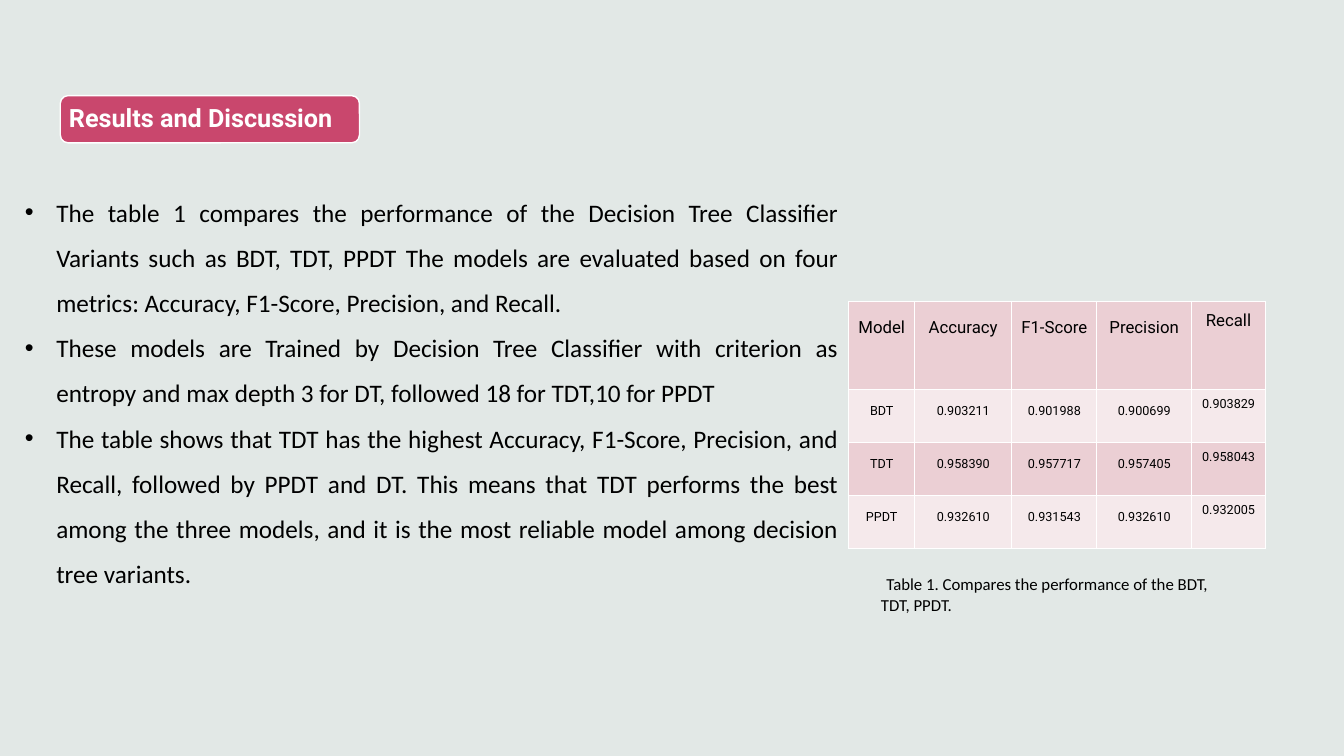
"""Build the results slide: heading, findings, and a table of model scores."""
from dataclasses import dataclass

from lxml.etree import SubElement
from pptx import Presentation
from pptx.dml.color import RGBColor as RGB
from pptx.enum.shapes import MSO_SHAPE as SHAPE
from pptx.enum.text import MSO_ANCHOR as ANCHOR, PP_ALIGN as ALIGN
from pptx.oxml.ns import qn
from pptx.util import Cm, Pt

HEADING = "Results and Discussion"
FINDINGS = [
    "The table 1 compares the performance of the Decision Tree Classifier Variants such as "
    "BDT, TDT, PPDT The models are evaluated based on four metrics: Accuracy, F1-Score, "
    "Precision, and Recall.",
    "These models are Trained by Decision Tree Classifier with criterion as entropy and "
    "max depth 3 for DT, followed 18 for TDT,10 for PPDT",
    "The table shows that TDT has the highest Accuracy, F1-Score, Precision, and Recall, "
    "followed by PPDT and DT. This means that TDT performs the best among the three models, "
    "and it is the most reliable model among decision tree variants.",
]
SCORES = [
    ("Model", "Accuracy", "F1-Score", "Precision", "Recall"),
    ("BDT", "0.903211", "0.901988", "0.900699", "0.903829"),
    ("TDT", "0.958390", "0.957717", "0.957405", "0.958043"),
    ("PPDT", "0.932610", "0.931543", "0.932610", "0.932005"),
]
CAPTION = "Table 1. Compares the performance of the BDT, TDT, PPDT."
COLUMN_WIDTHS = (1.66, 2.45, 2.14, 2.39, 1.86)
ROW_HEIGHTS = (2.22, 1.34, 1.34, 1.34)


@dataclass(frozen=True)
class Theme:
    """Colours, fonts and type sizes."""
    background: RGB = RGB.from_string("E2E8E6")
    accent: RGB = RGB.from_string("C9476D")
    bands: tuple = (RGB.from_string("EBCFD4"), RGB.from_string("F5E9EB"))
    ink: RGB = RGB.from_string("000000")
    white: RGB = RGB.from_string("FFFFFF")
    display: str = "Roboto"
    body: str = "Calibri"
    large: Pt = Pt(18)
    medium: Pt = Pt(12)
    small: Pt = Pt(9)


THEME = Theme()


def set_font(paragraph, name, size, color, bold=False):
    """Set the font of a whole paragraph."""
    font = paragraph.font
    font.name, font.size, font.bold = name, size, bold
    font.color.rgb = color


def set_insets(box, horizontal, vertical):
    """Set equal margins left and right, and top and bottom."""
    box.margin_left = box.margin_right = Cm(horizontal)
    box.margin_top = box.margin_bottom = Cm(vertical)


def set_indent(paragraph, left, first):
    """Set the left margin and first-line indent, in centimetres."""
    properties = paragraph._p.get_or_add_pPr()
    properties.set("marL", str(Cm(left)))
    properties.set("indent", str(Cm(first)))
    return properties


def set_spacing(paragraph):
    """Apply the open line spacing of findings and table cells."""
    paragraph.line_spacing = 1.49
    paragraph.space_after = Pt(0.2)


def add_heading(slide):
    """Add the rounded heading."""
    heading = slide.shapes.add_shape(
        SHAPE.ROUNDED_RECTANGLE, Cm(1.52), Cm(2.41), Cm(7.54), Cm(1.19))
    heading.shadow.inherit = False
    heading.fill.solid()
    heading.fill.fore_color.rgb = THEME.accent
    heading.line.color.rgb = THEME.white
    heading.line.width = Pt(1)
    frame = heading.text_frame
    frame.vertical_anchor = ANCHOR.MIDDLE
    set_insets(frame, 0.16, 0.18)
    paragraph = frame.paragraphs[0]
    paragraph.text = HEADING
    paragraph.alignment = ALIGN.LEFT
    paragraph.line_spacing = 0.9
    set_font(paragraph, THEME.display, THEME.large, THEME.white, bold=True)


def add_findings(slide):
    """Add the justified bullet list."""
    frame = slide.shapes.add_textbox(Cm(0.38), Cm(4.47), Cm(21), Cm(11.6)).text_frame
    frame.word_wrap = True
    for index, finding in enumerate(FINDINGS):
        paragraph = frame.add_paragraph() if index else frame.paragraphs[0]
        paragraph.text = finding
        paragraph.alignment = ALIGN.JUSTIFY
        set_spacing(paragraph)
        properties = set_indent(paragraph, 0.79, -0.79)
        SubElement(properties, qn("a:buFont"), typeface="Arial")
        SubElement(properties, qn("a:buChar"), char="•")
        set_font(paragraph, THEME.body, THEME.large, THEME.ink)


def add_borders(cell):
    """Draw a thin white line on each side of a cell."""
    properties = cell._tc.get_or_add_tcPr()
    for side in ("lnL", "lnR", "lnT", "lnB"):
        line = SubElement(properties, qn(f"a:{side}"), w=str(Pt(1)))
        fill = SubElement(line, qn("a:solidFill"))
        SubElement(fill, qn("a:srgbClr"), val=str(THEME.white))


def add_scores(slide):
    """Add the banded table of scores."""
    table = slide.shapes.add_table(
        len(SCORES), len(COLUMN_WIDTHS), Cm(21.39), Cm(7.59),
        Cm(sum(COLUMN_WIDTHS)), Cm(sum(ROW_HEIGHTS))).table
    table.first_row = table.horz_banding = False
    for column, width in zip(table.columns, COLUMN_WIDTHS):
        column.width = Cm(width)
    for row, height in zip(table.rows, ROW_HEIGHTS):
        row.height = Cm(height)
    last = len(COLUMN_WIDTHS) - 1
    for r, scores in enumerate(SCORES):
        for c, score in enumerate(scores):
            cell = table.cell(r, c)
            set_insets(cell, *((0.2, 0) if c == last else (0.18, 0.18)))
            add_borders(cell)
            cell.fill.solid()
            cell.fill.fore_color.rgb = THEME.bands[r % 2]
            paragraph = cell.text_frame.paragraphs[0]
            paragraph.text = score
            paragraph.alignment = ALIGN.CENTER
            set_spacing(paragraph)
            set_font(paragraph, THEME.display, THEME.small if r else THEME.medium, THEME.ink)


def add_caption(slide):
    """Add the caption below the table."""
    frame = slide.shapes.add_textbox(Cm(21.95), Cm(14.3), Cm(9.37), Cm(1.35)).text_frame
    frame.word_wrap = True
    paragraph = frame.paragraphs[0]
    paragraph.text = CAPTION
    set_indent(paragraph, 0, 0.14)
    paragraph.line_spacing = 1.05
    set_font(paragraph, THEME.body, THEME.medium, THEME.ink)


def main():
    """Build and save the slide."""
    deck = Presentation()
    deck.slide_width, deck.slide_height = Cm(33.87), Cm(19.05)
    slide = deck.slides.add_slide(deck.slide_layouts[6])
    slide.background.fill.solid()
    slide.background.fill.fore_color.rgb = THEME.background
    add_scores(slide)
    add_heading(slide)
    add_findings(slide)
    add_caption(slide)
    deck.save("out.pptx")


if __name__ == "__main__":
    main()
